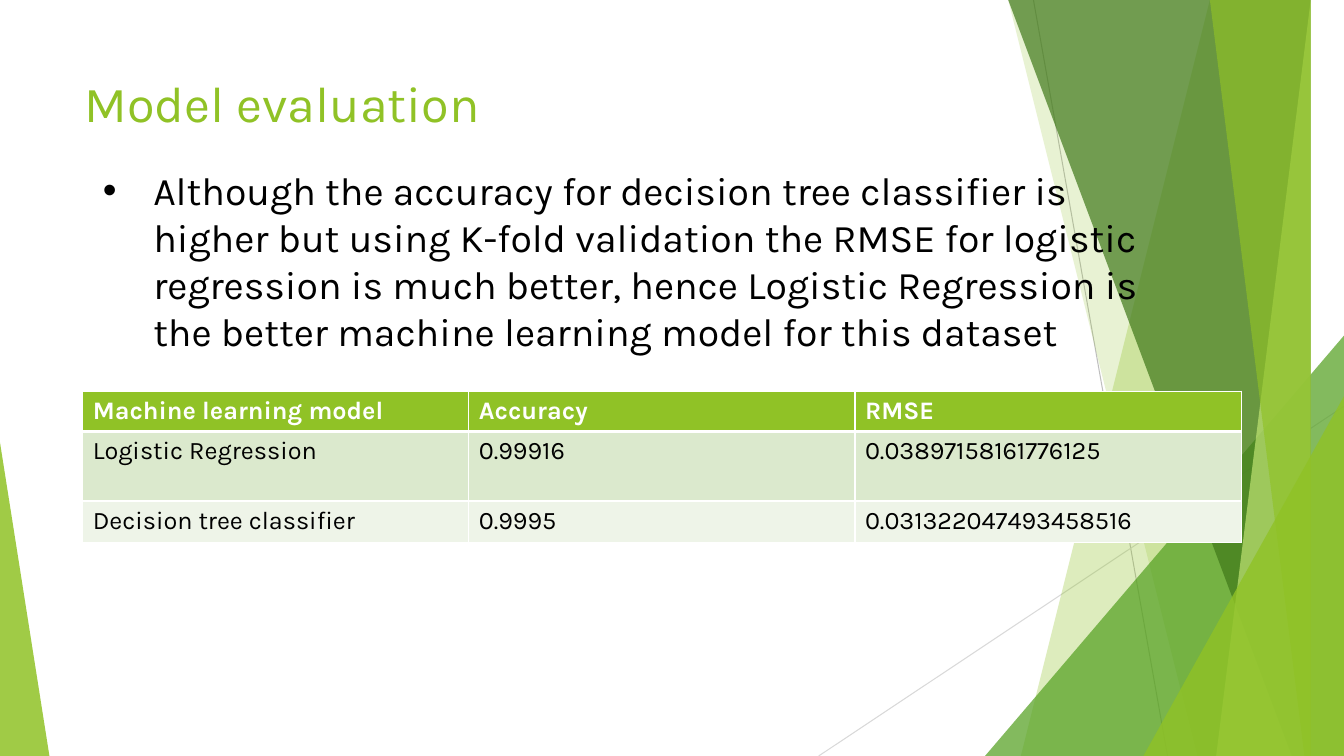
"""Build the model evaluation slide with its faceted green backdrop."""
from lxml.etree import SubElement
from pptx import Presentation
from pptx.dml.color import RGBColor
from pptx.enum.shapes import MSO_CONNECTOR, MSO_SHAPE
from pptx.enum.text import MSO_ANCHOR, MSO_AUTO_SIZE, PP_ALIGN
from pptx.oxml.ns import qn
from pptx.util import Inches, Pt

WIDTH, HEIGHT = 13.33, 7.5
FONT = "Karla"
GREEN, WHITE, BLACK = "90C226", "FFFFFF", "000000"

TITLE = "Model evaluation"
CONCLUSION = (
    "Although the accuracy for decision tree classifier is higher but using "
    "K-fold validation the RMSE for logistic regression is much better, hence "
    "Logistic Regression is the better machine learning model for this dataset"
)
SCORES = [
    ("Machine learning model", "Accuracy", "RMSE"),
    ("Logistic Regression", "0.99916", "0.03897158161776125"),
    ("Decision tree classifier", "0.9995", "0.031322047493458516"),
]
ROW_FILLS = [GREEN, "DBE9CD", "EEF4E8"]
ROW_HEIGHTS = [0.4, 0.69, 0.41]
TABLE_LEFT, TABLE_TOP, COLUMN_WIDTH = 0.82, 3.88, 3.83

RAYS = [
    ((10.25, 0), (11.58, HEIGHT), "BFBFBF"),
    ((WIDTH, 4.03), (8.12, HEIGHT), "D9D9D9"),
]
# Bands: top-left x, bottom-left x. Triangles: left, top, width, apex share.
FACETS = [
    ("band", (12.28, 10.04), GREEN, 30),
    ("band", (10.5, 11.83), GREEN, 20),
    ("triangle", (9.77, 3.33, 3.56, 1), "54A021", 72),
    ("band", (10.21, 12.91), "3F7819", 70),
    ("band", (13.03, 11.92), "C0E474", 70),
    ("band", (11.96, 13.18), GREEN, 65),
    ("triangle", (11.34, 3.93, 1.99, 1), GREEN, 80),
    ("triangle", (0, 4.39, 0.49, 0), GREEN, 85),
]


def color(code):
    return RGBColor.from_string(code)


def add_ray(slide, start, end, code):
    ray = slide.shapes.add_connector(
        MSO_CONNECTOR.STRAIGHT, *(Inches(length) for length in start + end))
    ray.line.color.rgb = color(code)
    ray.line.width = Pt(0.75)
    SubElement(ray.element.spPr, qn("a:effectLst"))


def add_facet(slide, kind, geometry, code, opacity):
    if kind == "band":
        top_x, bottom_x = geometry
        outline = slide.shapes.build_freeform(top_x, 0, scale=Inches(1))
        outline.add_line_segments(
            [(WIDTH, 0), (WIDTH, HEIGHT), (bottom_x, HEIGHT)], close=True)
        facet = outline.convert_to_shape()
    else:
        left, top, width, apex = geometry
        facet = slide.shapes.add_shape(
            MSO_SHAPE.ISOSCELES_TRIANGLE, Inches(left), Inches(top),
            Inches(width), Inches(HEIGHT - top))
        facet.adjustments[0] = apex
    facet.shadow.inherit = False
    facet.line.fill.background()
    facet.fill.solid()
    facet.fill.fore_color.rgb = color(code)
    tint = facet.element.spPr.find(qn("a:solidFill"))[0]
    SubElement(tint, qn("a:alpha"), val=str(opacity * 1000))


def write(frame, wording, size, code, bold=False):
    frame.text = wording
    paragraph = frame.paragraphs[0]
    paragraph.alignment = PP_ALIGN.LEFT
    paragraph.space_before = Pt(0)
    font = paragraph.runs[0].font
    font.name, font.size, font.bold = FONT, Pt(size), bold
    font.color.rgb = color(code)
    return paragraph


def fill_placeholder(holder, box, wording, size, code):
    holder.left, holder.top, holder.width, holder.height = map(Inches, box)
    holder.element.getparent().append(holder.element)
    frame = holder.text_frame
    frame.word_wrap = True
    frame.auto_size = MSO_AUTO_SIZE.NONE
    frame.vertical_anchor = MSO_ANCHOR.TOP
    return write(frame, wording, size, code)


def add_borders(cell, bottom_width):
    properties = cell._tc.get_or_add_tcPr()
    for side, width in (("L", 1), ("R", 1), ("T", 1), ("B", bottom_width)):
        border = SubElement(properties, qn(f"a:ln{side}"), w=str(Pt(width)))
        SubElement(SubElement(border, qn("a:solidFill")),
                   qn("a:srgbClr"), val=WHITE)


def add_scores(slide):
    columns = len(SCORES[0])
    table = slide.shapes.add_table(
        len(SCORES), columns, Inches(TABLE_LEFT), Inches(TABLE_TOP),
        Inches(COLUMN_WIDTH * columns), Inches(sum(ROW_HEIGHTS))).table
    for column in table.columns:
        column.width = Inches(COLUMN_WIDTH)
    for index, (score_row, fill, height) in enumerate(
            zip(SCORES, ROW_FILLS, ROW_HEIGHTS)):
        header = index == 0
        table.rows[index].height = Inches(height)
        for cell, wording in zip(table.rows[index].cells, score_row):
            add_borders(cell, 3 if header else 1)
            cell.fill.solid()
            cell.fill.fore_color.rgb = color(fill)
            write(cell.text_frame, wording, 18,
                  WHITE if header else BLACK, header)


deck = Presentation()
deck.slide_width, deck.slide_height = Inches(WIDTH), Inches(HEIGHT)
slide = deck.slides.add_slide(deck.slide_layouts[1])
title, body = slide.placeholders

for ray in RAYS:
    add_ray(slide, *ray)
for facet in FACETS:
    add_facet(slide, *facet)

fill_placeholder(title, (0.74, 0.67, 9.4, 1.44), TITLE, 36, GREEN)
add_scores(slide)
conclusion = fill_placeholder(
    body, (0.92, 1.6, 10.91, 1.99), CONCLUSION, 28, BLACK)
indents = conclusion._p.get_or_add_pPr()
indents.set("marL", str(Inches(0.5)))
indents.set("indent", str(Inches(-0.5)))
SubElement(indents, qn("a:buChar"), char="•")

deck.save("out.pptx")
